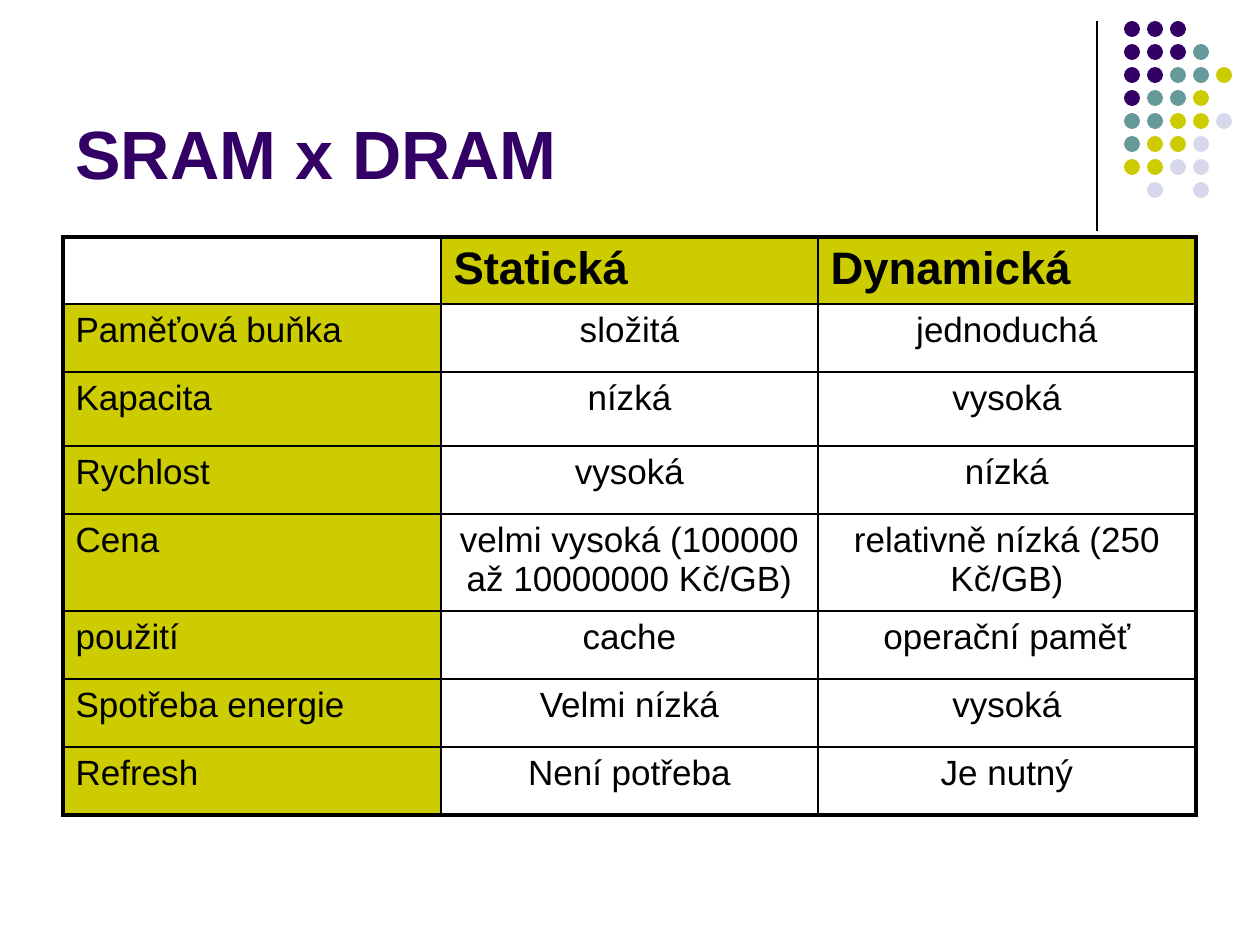
"""Build the slide that compares static and dynamic memory."""
from dataclasses import dataclass

from lxml import etree
from pptx import Presentation
from pptx.dml.color import RGBColor
from pptx.enum.shapes import MSO_CONNECTOR, MSO_SHAPE
from pptx.enum.text import MSO_ANCHOR, PP_ALIGN
from pptx.oxml.ns import qn
from pptx.util import Pt

OVAL = MSO_SHAPE.OVAL
STRAIGHT = MSO_CONNECTOR.STRAIGHT
BOTTOM = MSO_ANCHOR.BOTTOM
LEFT, CENTER = PP_ALIGN.LEFT, PP_ALIGN.CENTER
SCALE = 914400 // 126


@dataclass(frozen=True)
class Theme:
    font: str = "Arial"
    ink: str = "000000"
    plum: str = "330066"
    teal: str = "669999"
    lime: str = "CCCC00"
    mist: str = "D8D8EC"
    title: int = 39
    head: int = 26
    body: int = 20
    thin: float = 1
    thick: float = 2.25


THEME = Theme()
TONES = {"p": THEME.plum, "t": THEME.teal, "l": THEME.lime, "m": THEME.mist}
DOTS = ["ppp", "pppt", "ppttl", "pttl", "ttllm", "tllm", "llmm", " m m"]
COLS = [378, 377, 378]
ROWS = [67, 68, 74, 68, 97, 68, 68, 68]
CELLS = [
    ["", "Statická", "Dynamická"],
    ["Paměťová buňka", "složitá", "jednoduchá"],
    ["Kapacita", "nízká", "vysoká"],
    ["Rychlost", "vysoká", "nízká"],
    ["Cena", "velmi vysoká (100000 až 10000000 Kč/GB)",
     "relativně nízká (250 Kč/GB)"],
    ["použití", "cache", "operační paměť"],
    ["Spotřeba energie", "Velmi nízká", "vysoká"],
    ["Refresh", "Není potřeba", "Je nutný"],
]


def px(*vals):
    return [val * SCALE for val in vals]


def rgb(tone):
    return RGBColor.from_string(tone)


def add_run(para, text, size, tone, bold=False):
    run = para.add_run()
    run.text = text
    font = run.font
    font.name, font.size, font.bold = THEME.font, Pt(size), bold
    font.color.rgb = rgb(tone)


def add_title(slide, text):
    frame = slide.shapes.add_textbox(*px(63, 16, 1040, 179)).text_frame
    frame.word_wrap = True
    frame.vertical_anchor = BOTTOM
    frame.margin_bottom = 2 * SCALE
    add_run(frame.paragraphs[0], text, THEME.title, THEME.plum, True)


def add_rule(slide):
    rule = slide.shapes.add_connector(STRAIGHT, *px(1097, 21, 1097, 231))
    rule.line.color.rgb = rgb(THEME.ink)
    rule.line.width = Pt(0.75)
    etree.SubElement(rule._element.spPr, qn("a:effectLst"))


def add_dots(slide, left, top, size, step):
    for row, marks in enumerate(DOTS):
        for col, mark in enumerate(marks):
            if mark == " ":
                continue
            place = px(left + col * step, top + row * step, size, size)
            dot = slide.shapes.add_shape(OVAL, *place)
            dot.shadow.inherit = False
            dot.fill.solid()
            dot.fill.fore_color.rgb = rgb(TONES[mark])
            dot.line.fill.background()


def add_edge(cell, side, width):
    props = cell._tc.get_or_add_tcPr()
    edge = etree.SubElement(props, qn("a:ln" + side), w=str(Pt(width)))
    fill = etree.SubElement(edge, qn("a:solidFill"))
    etree.SubElement(fill, qn("a:srgbClr"), val=THEME.ink)


def fill_cell(cell, text, row, col):
    outer = {"L": col == 0, "R": col == len(COLS) - 1,
             "T": row == 0, "B": row == len(ROWS) - 1}
    for side, edge in outer.items():
        add_edge(cell, side, THEME.thick if edge else THEME.thin)
    label = row == 0 or col == 0
    if label and text:
        cell.fill.solid()
        cell.fill.fore_color.rgb = rgb(THEME.lime)
    else:
        cell.fill.background()
    if text:
        para = cell.text_frame.paragraphs[0]
        para.alignment = LEFT if label else CENTER
        size = THEME.body if row else THEME.head
        add_run(para, text, size, THEME.ink, row == 0)


def add_grid(slide, left, top):
    place = px(left, top, sum(COLS), sum(ROWS))
    grid = slide.shapes.add_table(len(ROWS), len(COLS), *place).table
    grid.first_row = grid.horz_banding = False
    for col, width in zip(grid.columns, COLS):
        col.width = width * SCALE
    for row, height in zip(grid.rows, ROWS):
        row.height = height * SCALE
    for row, texts in enumerate(CELLS):
        for col, text in enumerate(texts):
            fill_cell(grid.cell(row, col), text, row, col)


def main():
    deck = Presentation()
    deck.slide_width, deck.slide_height = px(1260, 945)
    slide = deck.slides.add_slide(deck.slide_layouts[6])
    add_rule(slide)
    add_dots(slide, 1124, 21, 16, 23)
    add_title(slide, "SRAM x DRAM")
    add_grid(slide, 63, 237)
    deck.save("out.pptx")


main()
